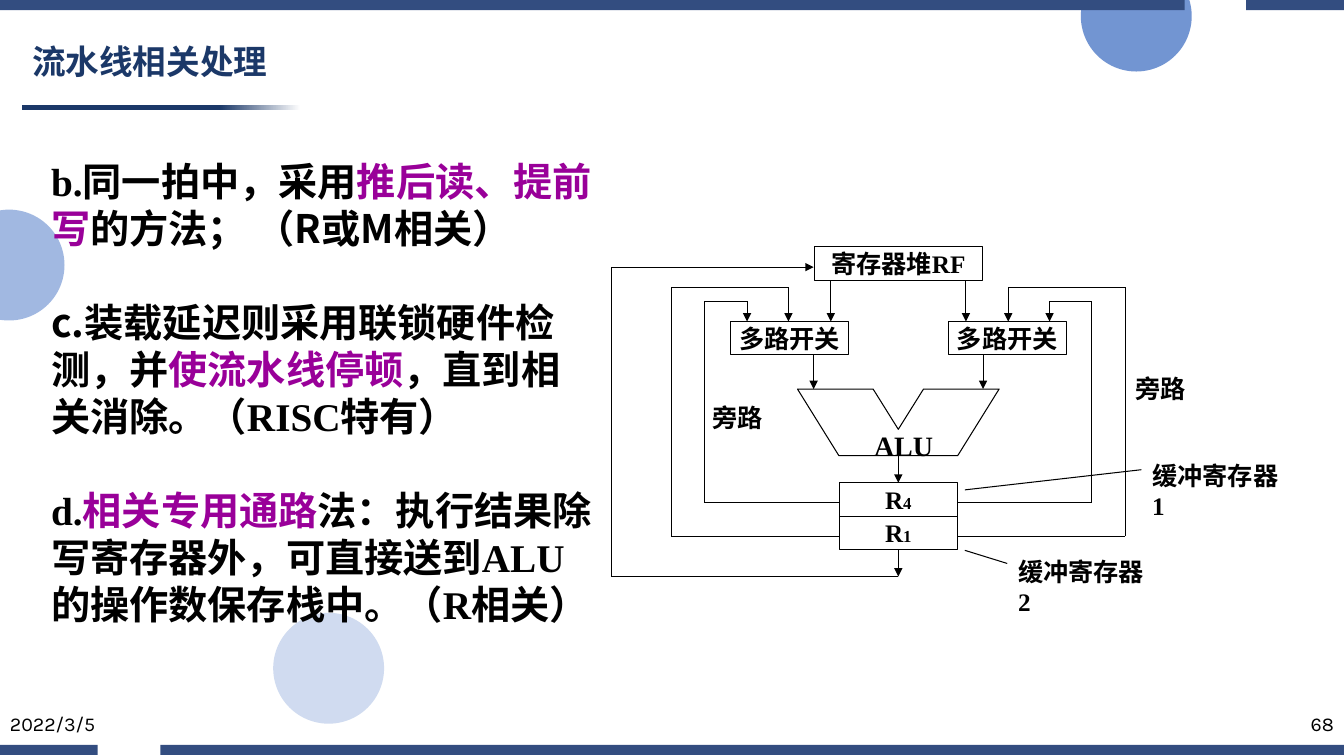
from lxml.etree import SubElement
from pptx import Presentation
from pptx.dml.color import RGBColor
from pptx.enum.shapes import MSO_CONNECTOR, MSO_SHAPE
from pptx.enum.text import MSO_ANCHOR, PP_ALIGN
from pptx.oxml.ns import qn
from pptx.util import Inches, Pt

NAVY = RGBColor(0x1B, 0x38, 0x68)
BAR = RGBColor(0x33, 0x4D, 0x80)
BLUE = RGBColor(0x44, 0x72, 0xC4)
PURPLE = RGBColor(0x99, 0x00, 0x99)
BLACK = RGBColor(0, 0, 0)
WHITE = RGBColor(255, 255, 255)
SERIF, SANS, KARLA = "Times New Roman", "Noto Sans CJK SC", "Karla"

# Content: a paragraph is a list of (text, run format)
TITLE, DATE, NUMBER = "流水线相关处理", "2022/3/5", "68"
KEY = {"color": PURPLE}
NOTES = [
    [("b.同一拍中，采用", {}), ("推后读、提前写", KEY), ("的方法； ", {}),
     ("（R或M相关）", {"font": SANS})],
    [("c.", {"font": SANS}), ("装载延迟则采用联锁硬件检测，并", {}),
     ("使流水线停顿", KEY), ("，直到相关消除。（RISC特有）", {})],
    [("d.", {}), ("相关专用通路", KEY),
     ("法：执行结果除写寄存器外，可直接送到ALU的操作数保存栈中。（R相关）", {})],
]
SMALL = {"size": 12}

# Slide decoration: left, top, alpha / left, top, width
CIRCLES = [(2.71, 6.08, 25), (-0.46, 2.08, 50), (10.72, -0.39, 75)]
BARS = [(0, 0, 11.75), (12.36, 0, 0.97), (0, 7.39, 0.97), (1.59, 7.39, 11.74)]

# Diagram: name -> centre x, top, width, runs
AXIS, BOX_H = 8.91, 0.33
BOXES = {
    "mux left": (7.83, 3.19, 1.17, [("多路开关", {})]),
    "mux right": (2 * AXIS - 7.83, 3.19, 1.17, [("多路开关", {})]),
    "R4": (AXIS, 4.79, 1.17, [("R", {}), ("4", SMALL)]),
    "R1": (AXIS, 5.12, 1.17, [("R", {}), ("1", SMALL)]),
    "RF": (AXIS, 2.45, 1.67, [("寄存器堆RF", {})]),
}
ALU_LEFT = [(AXIS, 4.26), (8.66, 3.86), (7.91, 3.86), (8.32, 4.52)]
# Wires that appear on both sides of the axis, each ending in an arrow
MIRRORED = [
    [(8.24, 2.79), (8.24, 3.19)],
    [(8.07, 3.52), (8.07, 3.86)],
    [(8.32, 4.99), (6.99, 4.99), (6.99, 2.99), (7.41, 2.99), (7.41, 3.19)],
    [(8.32, 5.32), (6.66, 5.32), (6.66, 2.85), (7.82, 2.85), (7.82, 3.19)],
]
WRITE_BACK = [(AXIS, 5.72), (6.07, 5.72), (6.07, 2.65), (8.07, 2.65)]
LEADERS = [[(9.57, 4.86), (11.32, 4.66)], [(9.57, 5.46), (9.99, 5.59)]]
# text, left, top, width, size
LABELS = [
    ("ALU", 8.57, 4.2, 0.79, 20),
    ("旁路", 6.97, 3.94, 0.7, 18),
    ("旁路", 11.16, 3.65, 0.7, 18),
    ("缓冲寄存器2", 10, 5.47, 1.57, 18),
    ("缓冲寄存器1", 11.33, 4.52, 1.57, 18),
]

prs = Presentation()
prs.slide_width, prs.slide_height = Inches(13.33), Inches(7.5)
s = prs.slides.add_slide(prs.slide_layouts[6])


def write(sp, paragraphs, size=18, font=SERIF, color=BLACK, bold=True, wrap=True,
          align=PP_ALIGN.LEFT, anchor=MSO_ANCHOR.TOP, line=None, gap=0):
    tf = sp.text_frame
    tf.word_wrap, tf.vertical_anchor = wrap, anchor
    for i, runs in enumerate(paragraphs):
        p = tf.add_paragraph() if i else tf.paragraphs[0]
        p.alignment = align
        if line:
            p.line_spacing = Pt(line)
        if i and gap:
            p.space_before = Pt(gap)
        for text, fmt in runs:
            r = p.add_run()
            r.text = text
            r.font.size = Pt(fmt.get("size", size))
            r.font.name = fmt.get("font", font)
            r.font.bold = bold
            r.font.color.rgb = fmt.get("color", color)
            SubElement(r.font._element, qn("a:ea")).set("typeface", SANS)


def text_box(left, top, width, height, paragraphs, **fmt):
    sp = s.shapes.add_textbox(Inches(left), Inches(top), Inches(width), Inches(height))
    write(sp, paragraphs, **fmt)


def shape(kind, left, top, width, height, color=None):
    sp = s.shapes.add_shape(kind, Inches(left), Inches(top), Inches(width), Inches(height))
    sp.shadow.inherit = False
    if color is None:
        outline(sp)
    else:
        sp.fill.solid()
        sp.fill.fore_color.rgb = color
        sp.line.fill.background()
    return sp


def outline(sp):
    sp.fill.background()
    sp.line.color.rgb = BLACK
    sp.line.width = Pt(0.75)


def wire(points, arrow=True):
    """Chain straight connectors through the points; return the last one."""
    for (x1, y1), (x2, y2) in zip(points, points[1:]):
        c = s.shapes.add_connector(MSO_CONNECTOR.STRAIGHT, Inches(x1), Inches(y1),
                                   Inches(x2), Inches(y2))
        c.line.color.rgb = BLACK
        c.line.width = Pt(0.75)
        SubElement(c._element.spPr, qn("a:effectLst"))
    if arrow:
        SubElement(c.line._get_or_add_ln(), qn("a:tailEnd")).set("type", "triangle")
    return c


def mirror(points):
    return [(2 * AXIS - x, y) for x, y in points]


# Decoration
for left, top, alpha in CIRCLES:
    sp = shape(MSO_SHAPE.OVAL, left, top, 1.1, 1.1, BLUE)
    clr = sp._element.spPr.find(qn("a:solidFill"))[0]
    SubElement(clr, qn("a:alpha")).set("val", str(alpha * 1000))
for left, top, width in BARS:
    shape(MSO_SHAPE.RECTANGLE, left, top, width, 0.1, BAR)
rule = shape(MSO_SHAPE.RECTANGLE, 0.22, 1.04, 2.76, 0.05, NAVY)
rule.fill.gradient()
rule.fill.gradient_angle = 0
for stop, position, color in zip(rule.fill.gradient_stops, (0.71, 1), (NAVY, WHITE)):
    stop.position, stop.color.rgb = position, color

# Title, footer and notes
text_box(0.22, 0.33, 3.58, 0.56, [[(TITLE, {})]], size=24, font=SANS, color=NAVY,
         anchor=MSO_ANCHOR.MIDDLE)
footer = {"size": 14, "font": KARLA, "bold": False, "anchor": MSO_ANCHOR.BOTTOM}
text_box(0, 6.95, 3, 0.4, [[(DATE, {})]], **footer)
text_box(10.33, 6.95, 3, 0.4, [[(NUMBER, {})]], align=PP_ALIGN.RIGHT, **footer)
text_box(0.41, 1.51, 5.57, 4.81, NOTES, size=28, line=33.6, gap=33.6)

# Boxes and ALU outline
boxes = {}
for name, (center, top, width, runs) in BOXES.items():
    boxes[name] = shape(MSO_SHAPE.RECTANGLE, center - width / 2, top, width, BOX_H)
    write(boxes[name], [runs], wrap=False, align=PP_ALIGN.CENTER,
          anchor=MSO_ANCHOR.MIDDLE)
corners = [(Inches(x), Inches(y)) for x, y in ALU_LEFT + mirror(ALU_LEFT)[:0:-1]]
fb = s.shapes.build_freeform(*corners[0])
fb.add_line_segments(corners[1:], close=True)
alu = fb.convert_to_shape()
alu.shadow.inherit = False
outline(alu)

# Wires
for points in MIRRORED:
    wire(points)
    wire(mirror(points))
wire(WRITE_BACK)
wire([(AXIS, 4.52), (AXIS, 4.79)]).end_connect(boxes["R4"], 0)
wire([(AXIS, 5.45), (AXIS, 5.72)]).begin_connect(boxes["R1"], 2)
for points in LEADERS:
    wire(points, arrow=False)

# Labels
for text, left, top, width, size in LABELS:
    text_box(left, top, width, 0.4, [[(text, {})]], size=size, line=size * 1.2)

prs.save("out.pptx")
